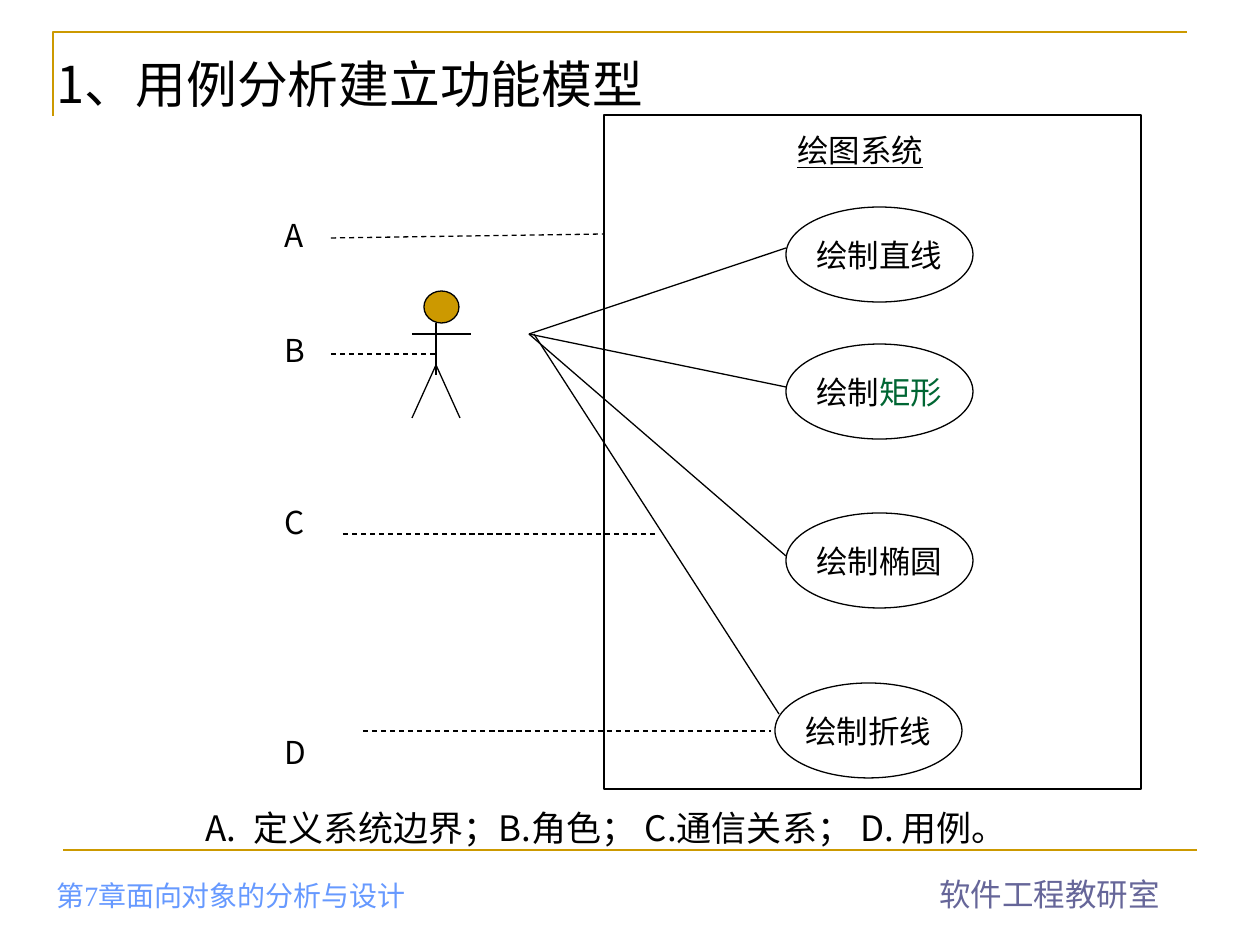
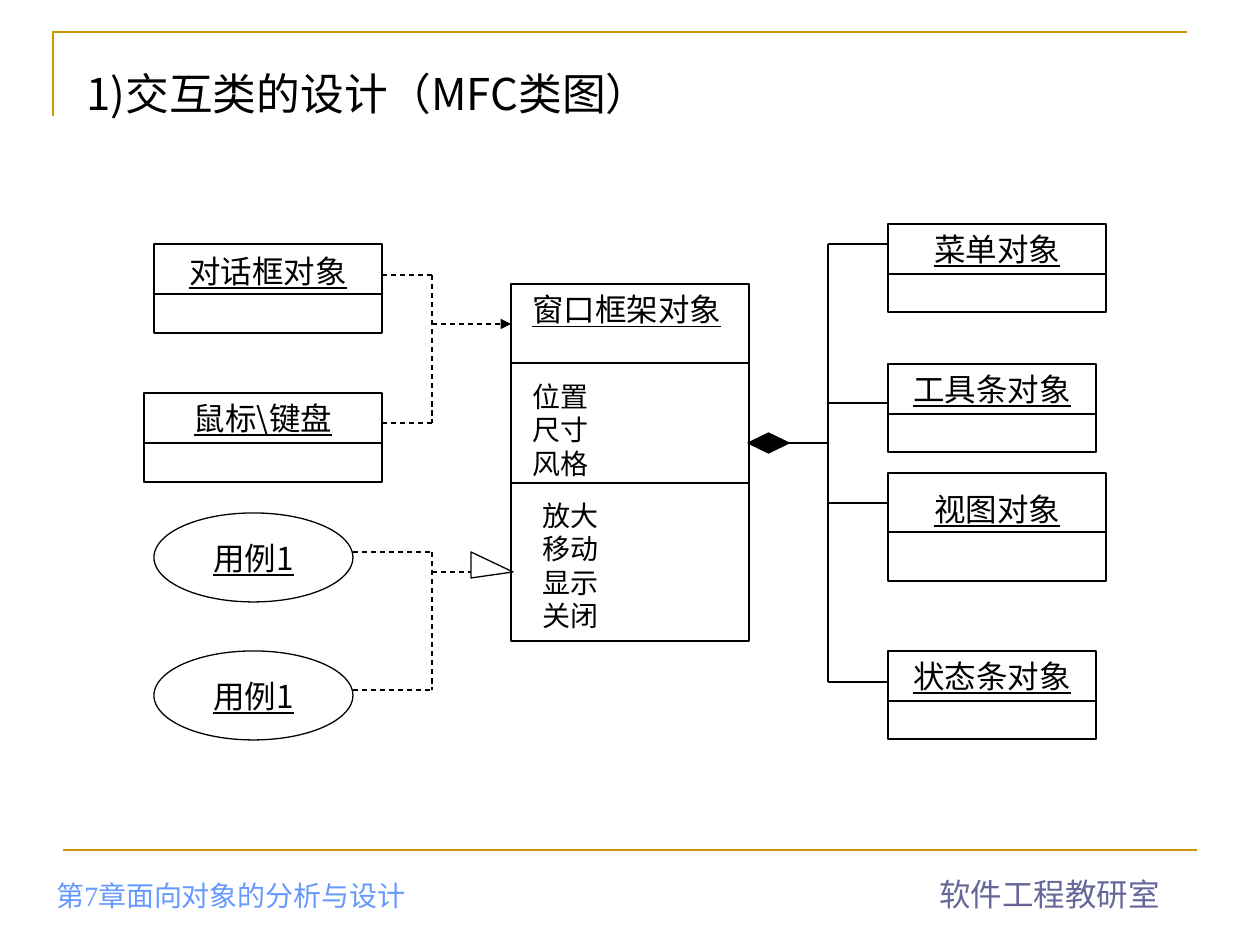
import pptx
import pptx.util
from lxml import etree
from pptx.dml.color import RGBColor
from pptx.enum.dml import MSO_LINE
from pptx.enum.shapes import MSO_CONNECTOR, MSO_SHAPE
from pptx.enum.text import MSO_ANCHOR, MSO_AUTO_SIZE, PP_ALIGN
from pptx.oxml.ns import qn

PX = 914400 / 126
SLIDE_SIZE = (1260, 945)
TITLE_ONLY = 5

BLACK = RGBColor(0x00, 0x00, 0x00)
WHITE = RGBColor(0xFF, 0xFF, 0xFF)
GOLD = RGBColor(0xCC, 0x99, 0x00)
GREEN = RGBColor(0x00, 0x66, 0x33)
PURPLE = RGBColor(0x66, 0x66, 0x99)
BLUE = RGBColor(0x66, 0x99, 0xFF)

CJK_FONT = "Noto Sans CJK SC"
THIN, THICK = 0.75, 1.5

# Shared frame
FRAME_CORNER = [(53, 116), (53, 32), (1187, 32)]
FRAME_BOTTOM = (63, 850, 1197, 850)
FOOTERS = [
    ("第7章面向对象的分析与设计", (44, 879, 517, 39),
     dict(size=16, font="Times New Roman", color=BLUE, anchor=MSO_ANCHOR.BOTTOM)),
    ("软件工程教研室", (927, 869, 246, 50),
     dict(size=18, font="Arial", color=PURPLE, wrap=False)),
]

# Use case slide
USE_CASE_TITLE = "1、用例分析建立功能模型"
SYSTEM_NAME = "绘图系统"
SYSTEM_BOX = (604, 115, 537, 674)
USE_CASE_SIZE = (187, 95)
USE_CASES = [  # text, left and top of the ellipse, line from the actor
    ("绘制直线", (786, 207), (529, 334, 786, 248)),
    ((("绘制", BLACK), ("矩形", GREEN)), (786, 344), (529, 334, 786, 387)),
    ("绘制椭圆", (786, 513), (529, 334, 786, 556)),
    ("绘制折线", (775, 683), (534, 334, 779, 714)),
]
ACTOR_HEAD = (424, 291, 35, 32)
ACTOR_LIMBS = [
    (436, 323, 436, 375), (436, 365, 412, 418),
    (436, 365, 460, 418), (412, 334, 471, 334),
]
MARKERS = [  # letter, middle of the letter, dashed leader
    ("A", 235, (331, 238, 604, 234)),
    ("B", 350, (331, 354, 436, 354)),
    ("C", 522, (343, 534, 658, 534)),
    ("D", 752, (363, 731, 771, 731)),
]
LEGEND = "定义系统边界；B.角色； C.通信关系； D. 用例。"

# Class diagram slide
CLASS_TITLE = "1)交互类的设计（MFC类图）"
CLASSES = [  # name, box, height of the name part, top inset
    ("对话框对象", (154, 244, 228, 89), 50, 3),
    ("鼠标\\键盘", (144, 393, 238, 89), 50, 0),
    ("菜单对象", (888, 224, 218, 88), 50, 0),
    ("工具条对象", (888, 364, 208, 88), 50, 0),
    ("视图对象", (888, 473, 218, 108), 59, 12),
    ("状态条对象", (888, 651, 208, 88), 50, 0),
]
WINDOW_BOX = (511, 284, 238, 357)
WINDOW_DIVIDERS = [363, 483]
WINDOW_TEXTS = [
    (["窗口框架对象"], (520, 284, 218, 50), dict(underline=True)),
    (["位置", "尺寸", "风格"], (520, 373, 189, 113), dict(size=16, font="Arial")),
    (["放大", "移动", "显示", "关闭"], (530, 492, 189, 148), dict(size=16, font="Arial")),
]
CASE_TOPS = [513, 651]
CASE_LINE_OFFSET = 39
PART_TRUNK, PART_EDGE = 828, 888
PART_LEVELS = [244, 403, 503, 682]
LINK_TRUNK = 432
INPUT_LEVELS = [275, 423]
DIAMOND = (748, 433, 41, 20)
DIAMOND_LEVEL = 443
TRIANGLE = [(471, 552), (513, 572), (471, 578)]


def emu(*lengths):
    return [round(length * PX) for length in lengths]


def style_shape(shape, fill=None, line=BLACK, width=THIN):
    shape.shadow.inherit = False
    if fill is None:
        shape.fill.background()
    else:
        shape.fill.solid()
        shape.fill.fore_color.rgb = fill
    shape.line.color.rgb = line
    shape.line.width = pptx.util.Pt(width)
    return shape


def add_shape(slide, kind, box, **style):
    return style_shape(slide.shapes.add_shape(kind, *emu(*box)), **style)


def add_outline(slide, points, close, **style):
    builder = slide.shapes.build_freeform(*points[0], scale=PX)
    builder.add_line_segments(points[1:], close=close)
    return style_shape(builder.convert_to_shape(), **style)


def add_line(slide, ends, color=BLACK, width=THIN, dashed=False, arrow=False):
    connector = slide.shapes.add_connector(MSO_CONNECTOR.STRAIGHT, *emu(*ends))
    connector.line.color.rgb = color
    connector.line.width = pptx.util.Pt(width)
    if dashed:
        connector.line.dash_style = MSO_LINE.DASH
    if arrow:
        line = connector.line._get_or_add_ln()
        etree.SubElement(line, qn("a:tailEnd"), type="triangle")
    etree.SubElement(connector._element.spPr, qn("a:effectLst"))


def write_text(shape, lines, size=18, font=CJK_FONT, color=BLACK, underline=None,
               align=PP_ALIGN.LEFT, anchor=MSO_ANCHOR.TOP, wrap=True, numbered=False):
    """Fill a shape; a line is a string or a tuple of (text, color) runs."""
    frame = shape.text_frame
    frame.auto_size = MSO_AUTO_SIZE.NONE
    frame.word_wrap = wrap
    frame.vertical_anchor = anchor
    for index, line in enumerate(lines):
        paragraph = frame.add_paragraph() if index else frame.paragraphs[0]
        paragraph.alignment = align
        if numbered:
            properties = paragraph._p.get_or_add_pPr()
            indent = emu(48)[0]
            properties.set("marL", str(indent))
            properties.set("indent", str(-indent))
            etree.SubElement(properties, qn("a:buAutoNum"), type="alphaUcPeriod")
        runs = ((line, color),) if isinstance(line, str) else line
        for text, run_color in runs:
            run = paragraph.add_run()
            run.text = text
            run.font.size = pptx.util.Pt(size)
            run.font.underline = underline
            run.font.color.rgb = run_color
            run.font.name = font
            etree.SubElement(run._r.get_or_add_rPr(), qn("a:ea"), typeface=CJK_FONT)


def add_text(slide, lines, box, **text_format):
    write_text(slide.shapes.add_textbox(*emu(*box)), lines, **text_format)


def add_framed_slide(presentation, title, title_box, title_size):
    slide = presentation.slides.add_slide(presentation.slide_layouts[TITLE_ONLY])
    add_outline(slide, FRAME_CORNER, close=False, line=GOLD, width=THICK)
    add_line(slide, FRAME_BOTTOM, color=GOLD, width=THICK)
    for text, box, text_format in FOOTERS:
        add_text(slide, [text], box, **text_format)
    heading = slide.shapes.title
    heading.left, heading.top, heading.width, heading.height = emu(*title_box)
    write_text(heading, [title], size=title_size, anchor=MSO_ANCHOR.MIDDLE)
    return slide


def add_centred_ellipse(slide, text, box, fill=None, underline=None):
    ellipse = add_shape(slide, MSO_SHAPE.OVAL, box, fill=fill)
    write_text(ellipse, [text], underline=underline, align=PP_ALIGN.CENTER,
               anchor=MSO_ANCHOR.MIDDLE, wrap=False)


def build_use_case_slide(presentation):
    slide = add_framed_slide(presentation, USE_CASE_TITLE, (44, 35, 615, 97), 29)
    add_text(slide, [LEGEND], (193, 800, 922, 56), size=20, numbered=True)

    add_shape(slide, MSO_SHAPE.OVAL, ACTOR_HEAD, fill=GOLD)
    for limb in ACTOR_LIMBS:
        add_line(slide, limb)

    add_shape(slide, MSO_SHAPE.RECTANGLE, SYSTEM_BOX)
    add_text(slide, [SYSTEM_NAME], (785, 125, 180, 50), underline=True)
    for text, corner, communication in USE_CASES:
        add_centred_ellipse(slide, text, corner + USE_CASE_SIZE)
        add_line(slide, communication)

    for letter, middle, leader in MARKERS:
        add_text(slide, [letter], (272, middle - 25, 60, 50), anchor=MSO_ANCHOR.MIDDLE)
        add_line(slide, leader, dashed=True)


def add_class(slide, name, box, name_height, inset_top):
    left, top, width, height = box
    rectangle = add_shape(slide, MSO_SHAPE.RECTANGLE, box)
    frame = rectangle.text_frame
    frame.margin_top, frame.margin_bottom = emu(inset_top, height - name_height)
    write_text(rectangle, [name], underline=True, align=PP_ALIGN.CENTER,
               anchor=MSO_ANCHOR.MIDDLE, wrap=False)
    add_line(slide, (left, top + name_height, left + width, top + name_height))


def build_class_slide(presentation):
    slide = add_framed_slide(presentation, CLASS_TITLE, (74, 45, 893, 97), 25)
    for class_row in CLASSES:
        add_class(slide, *class_row)

    left, _, width, _ = WINDOW_BOX
    add_shape(slide, MSO_SHAPE.RECTANGLE, WINDOW_BOX)
    for level in WINDOW_DIVIDERS:
        add_line(slide, (left, level, left + width, level))
    for lines, box, text_format in WINDOW_TEXTS:
        add_text(slide, lines, box, **text_format)

    # Parts of the window
    add_line(slide, (PART_TRUNK, PART_LEVELS[0], PART_TRUNK, PART_LEVELS[-1]))
    for level in PART_LEVELS:
        add_line(slide, (PART_TRUNK, level, PART_EDGE, level))
    add_line(slide, (DIAMOND[0], DIAMOND_LEVEL, PART_TRUNK, DIAMOND_LEVEL))
    add_shape(slide, MSO_SHAPE.DIAMOND, DIAMOND, fill=BLACK)

    # Use cases and input objects, joined to the window by dashed links
    for top in CASE_TOPS:
        add_centred_ellipse(slide, "用例1", (154, top, 199, 89), fill=WHITE, underline=True)
    case_levels = [top + CASE_LINE_OFFSET for top in CASE_TOPS]
    for start, levels in ((382, INPUT_LEVELS), (353, case_levels)):
        add_line(slide, (LINK_TRUNK, levels[0], LINK_TRUNK, levels[-1]), dashed=True)
        for level in levels:
            add_line(slide, (start, level, LINK_TRUNK, level), dashed=True)
    add_line(slide, (LINK_TRUNK, 324, left, 324), dashed=True, arrow=True)
    add_line(slide, (LINK_TRUNK, 572, TRIANGLE[0][0], 572), dashed=True)
    add_outline(slide, TRIANGLE, close=True)


def main():
    presentation = pptx.Presentation()
    presentation.slide_width, presentation.slide_height = emu(*SLIDE_SIZE)
    build_use_case_slide(presentation)
    build_class_slide(presentation)
    presentation.save("out.pptx")


if __name__ == "__main__":
    main()
